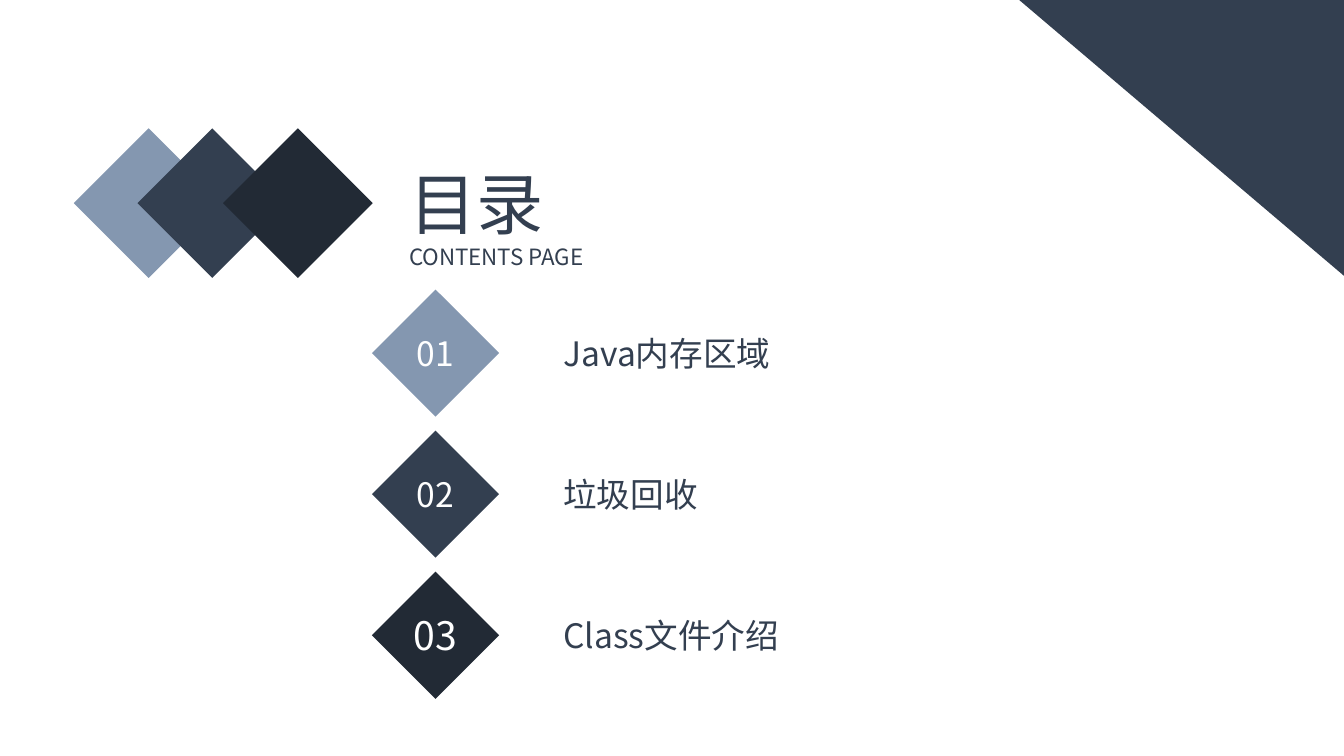
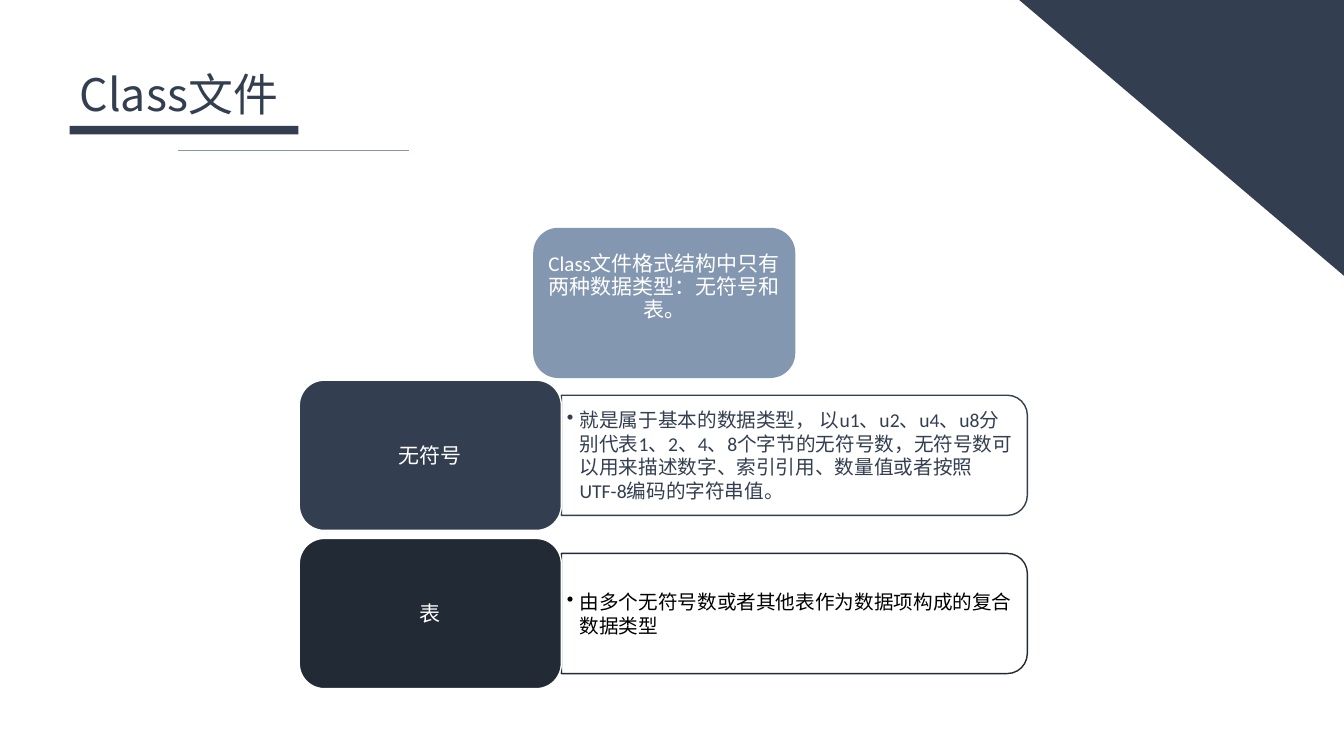
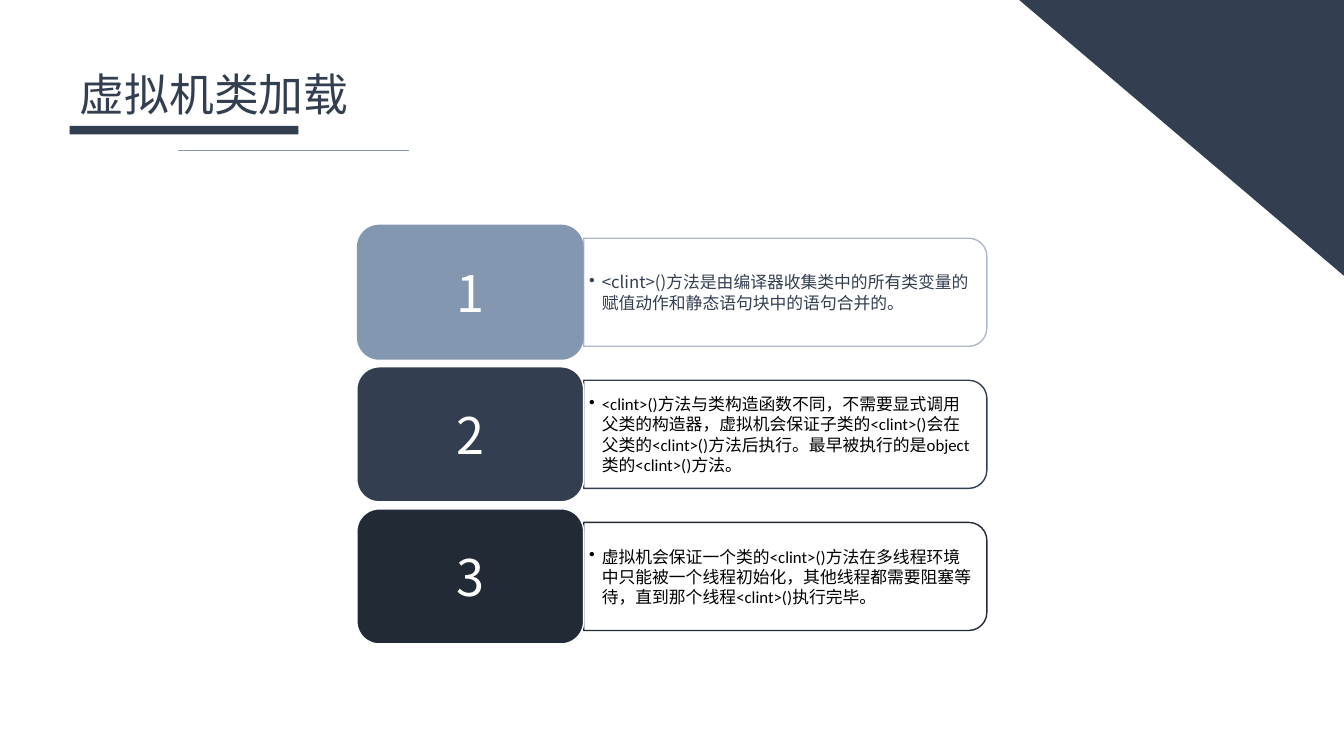
from lxml.etree import SubElement
from pptx import Presentation
from pptx.dml.color import RGBColor
from pptx.enum.shapes import MSO_CONNECTOR, MSO_SHAPE
from pptx.enum.text import MSO_ANCHOR, MSO_AUTO_SIZE, PP_ALIGN
from pptx.oxml.ns import qn
from pptx.util import Pt

WHITE = RGBColor(0xFF, 0xFF, 0xFF)
BLACK = RGBColor(0x00, 0x00, 0x00)
PALE = RGBColor(0xAD, 0xB9, 0xCA)
LIGHT = RGBColor(0x84, 0x97, 0xB0)
NAVY = RGBColor(0x33, 0x3F, 0x50)
DARK = RGBColor(0x22, 0x2A, 0x35)
JP = "Noto Sans CJK JP"
SC = "Noto Sans CJK SC"
BODY = "Calibri"


def set_frame(tf, margins=(7.2, 3.6), anchor=MSO_ANCHOR.TOP):
    x, y = map(Pt, margins)
    values = {"word_wrap": True, "auto_size": MSO_AUTO_SIZE.NONE,
              "vertical_anchor": anchor, "margin_left": x, "margin_right": x,
              "margin_top": y, "margin_bottom": y}
    for name, value in values.items():
        setattr(tf, name, value)


def write(p, text, size, color, font=JP, ea=None, align=PP_ALIGN.LEFT):
    p.alignment = align
    r = p.add_run()
    r.text = text
    for name, value in {"size": Pt(size), "name": font, "bold": False}.items():
        setattr(r.font, name, value)
    r.font.color.rgb = color
    SubElement(r.font._element, qn("a:ea")).set("typeface", ea or font)


def add_bullet(p):
    pPr = p._p.get_or_add_pPr()
    pPr.set("marL", str(Pt(9)))
    pPr.set("indent", str(-Pt(9)))
    SubElement(pPr, qn("a:buChar")).set("char", "•")


def add_shape(s, kind, box, fill=None, line=None, rotation=0):
    sp = s.shapes.add_shape(kind, *map(Pt, box))
    sp.shadow.inherit = False
    sp.rotation = rotation
    if fill is None:
        sp.fill.background()
    else:
        sp.fill.solid()
        sp.fill.fore_color.rgb = fill
    if line is None:
        sp.line.fill.background()
    else:
        sp.line.color.rgb = line
        sp.line.width = Pt(1)
    return sp


def add_text(s, box, text, size, color, font=JP, ea=None, bullet=False,
             margins=(7.2, 3.6), anchor=MSO_ANCHOR.MIDDLE):
    tf = s.shapes.add_textbox(*map(Pt, box)).text_frame
    set_frame(tf, margins, anchor)
    p = tf.paragraphs[0]
    if bullet:
        add_bullet(p)
    write(p, text, size, color, font, ea)


def add_slide(prs):
    s = prs.slides.add_slide(prs.slide_layouts[5])
    add_shape(s, MSO_SHAPE.RIGHT_TRIANGLE, (728, 0, 232, 197), NAVY, rotation=180)
    return s


def set_title(s, box, text, size):
    sp = s.shapes.title
    sp.left, sp.top, sp.width, sp.height = map(Pt, box)
    set_frame(sp.text_frame)
    write(sp.text_frame.paragraphs[0], text, size, NAVY)
    return sp.text_frame


def add_topic_slide(prs, title):
    s = add_slide(prs)
    add_shape(s, MSO_SHAPE.RECTANGLE, (49.7, 90, 163.5, 6), NAVY)
    rule = s.shapes.add_connector(MSO_CONNECTOR.STRAIGHT, *map(Pt, (127.4, 107.3, 292.3, 107.3)))
    rule.line.color.rgb = LIGHT
    rule.line.width = Pt(0.5)
    SubElement(rule._element.spPr, qn("a:effectLst"))
    set_title(s, (49.7, 43.9, 334.8, 46), title, 32)
    return s


def add_card(s, box, text, size, fill, line=None, font=BODY):
    sp = add_shape(s, MSO_SHAPE.ROUNDED_RECTANGLE, box, fill, line)
    set_frame(sp.text_frame, (4.3, 2.2), MSO_ANCHOR.MIDDLE)
    write(sp.text_frame.paragraphs[0], text, size, WHITE, font, BODY, PP_ALIGN.CENTER)
    return sp.text_frame


def add_detail(s, card, text, size, color, line, font):
    left, top, width, height = card
    w, h = width * 16 / 9, height * 0.8
    x, y = left + width, top + height * 0.1
    add_shape(s, MSO_SHAPE.ROUND_2_SAME_RECTANGLE,
              (x + (w - h) / 2, y + (h - w) / 2, h, w), line=line, rotation=90)
    add_text(s, (x, y, w - 4, h), text, size, color, font, BODY, True, (4, 2.2))


def add_rows(s, card, pitch, label_size, detail_size, rows):
    left, top, width, height = card
    for i, (label, label_font, fill, edge, detail, color, line, font) in enumerate(rows):
        box = (left, top + i * pitch, width, height)
        add_detail(s, box, detail, detail_size, color, line, font)
        add_card(s, box, label, label_size, fill, edge, label_font)


def build_contents(prs):
    s = add_slide(prs)
    for left, fill in ((68.4, LIGHT), (113.8, NAVY), (175, DARK)):
        add_shape(s, MSO_SHAPE.RECTANGLE, (left, 107.3, 75.6, 75.6), fill, rotation=45)
    tf = set_title(s, (285, 112.3, 500, 90), "目录", 48)
    write(tf.add_paragraph(), "CONTENTS PAGE", 16, NAVY, SC)
    chapters = (("01", 24, LIGHT, "Java内存区域"),
                ("02", 24, NAVY, "垃圾回收"),
                ("03", 28, DARK, "Class文件介绍"))
    for i, (number, size, fill, name) in enumerate(chapters):
        top = 206.8 + i * 100.8
        sp = add_shape(s, MSO_SHAPE.DIAMOND, (265.7, top, 90.8, 90.8), fill)
        set_frame(sp.text_frame, (0, 0), MSO_ANCHOR.MIDDLE)
        write(sp.text_frame.paragraphs[0], number, size, WHITE, align=PP_ALIGN.CENTER)
        add_text(s, (395.3, top + 27.2, 317.5, 36.4), name, 24, NAVY)


def build_class_file(prs):
    s = add_topic_slide(prs, "Class文件")
    tf = add_card(s, (380.9, 162.7, 187.2, 107.3),
                  "Class文件格式结构中只有两种数据类型：无符号和表。", 15, LIGHT)
    tf.paragraphs[0].line_spacing = 0.9
    tf.margin_bottom = Pt(23.8)
    add_rows(s, (213.8, 271.6, 187.2, 107.3), 113, 15, 14, (
        ("无符号", BODY, NAVY, WHITE,
         "就是属于基本的数据类型， 以u1、u2、u4、u8分别代表1、2、4、8个字节的无符号数，"
         "无符号数可以用来描述数字、索引引用、数量值或者按照UTF-8编码的字符串值。",
         NAVY, NAVY, BODY),
        ("表", JP, DARK, WHITE, "由多个无符号数或者其他表作为数据项构成的复合数据类型",
         BLACK, DARK, BODY)))


def build_class_loading(prs):
    s = add_topic_slide(prs, "虚拟机类加载")
    add_rows(s, (254.9, 160.5, 162, 96.5), 101.5, 36, 12, (
        ("1", JP, LIGHT, None,
         "<clint>()方法是由编译器收集类中的所有类变量的赋值动作和静态语句块中的语句合并的。",
         NAVY, PALE, JP),
        ("2", JP, NAVY, WHITE,
         "<clint>()方法与类构造函数不同，不需要显式调用父类的构造器，虚拟机会保证子类的"
         "<clint>()会在父类的<clint>()方法后执行。最早被执行的是object类的<clint>()方法。",
         BLACK, NAVY, BODY),
        ("3", JP, DARK, WHITE,
         "虚拟机会保证一个类的<clint>()方法在多线程环境中只能被一个线程初始化，"
         "其他线程都需要阻塞等待，直到那个线程<clint>()执行完毕。",
         BLACK, DARK, BODY)))


def main():
    prs = Presentation()
    prs.slide_width, prs.slide_height = Pt(960), Pt(540)
    build_contents(prs)
    build_class_file(prs)
    build_class_loading(prs)
    prs.save("out.pptx")


if __name__ == "__main__":
    main()
